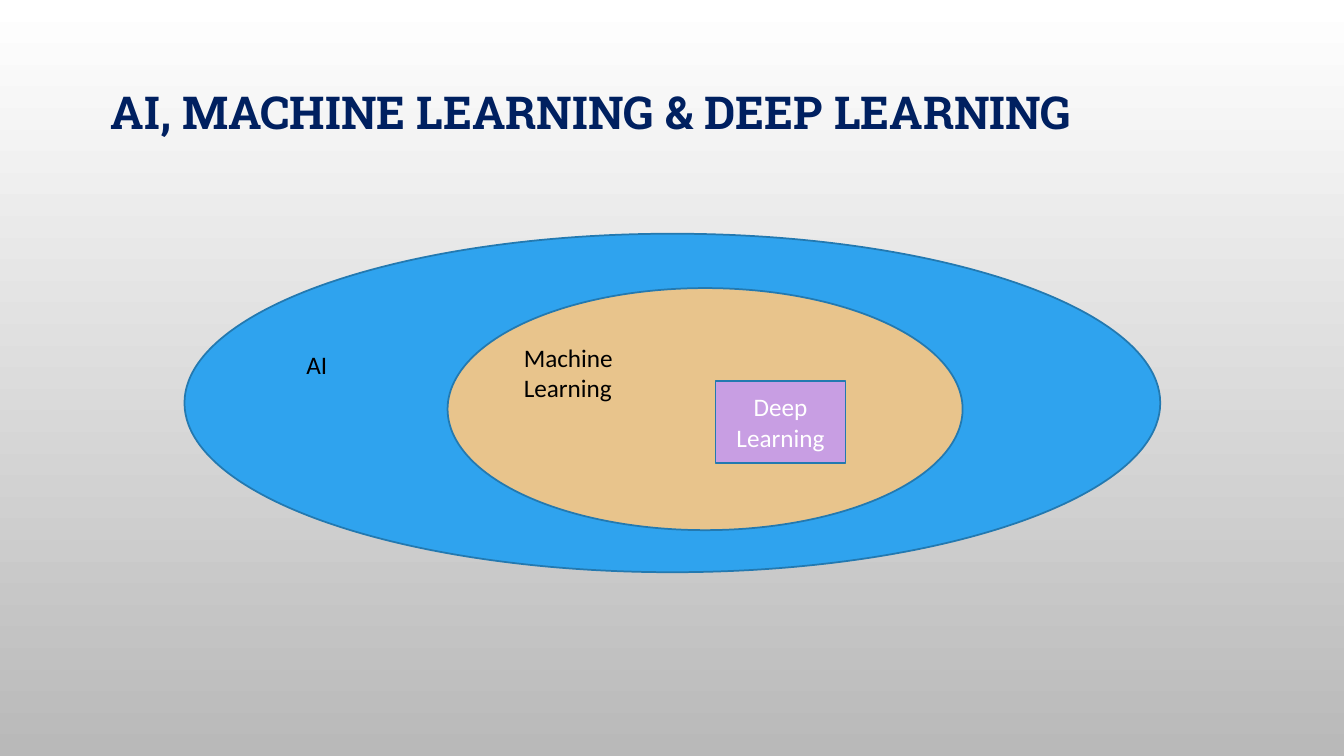
from pptx import Presentation
from pptx.dml.color import RGBColor
from pptx.enum.shapes import MSO_SHAPE
from pptx.enum.text import MSO_ANCHOR, MSO_AUTO_SIZE, PP_ALIGN
from pptx.util import Cm, Pt

LEFT, CENTER = PP_ALIGN.LEFT, PP_ALIGN.CENTER
TOP, MIDDLE = MSO_ANCHOR.TOP, MSO_ANCHOR.MIDDLE
FIXED, GROW = MSO_AUTO_SIZE.NONE, MSO_AUTO_SIZE.SHAPE_TO_FIT_TEXT

NAVY = RGBColor(0x00, 0x20, 0x60)
BLUE = RGBColor(0x2F, 0xA3, 0xEE)
SAND = RGBColor(0xE8, 0xC4, 0x8C)
LILAC = RGBColor(0xC8, 0x9E, 0xE3)
OUTLINE = RGBColor(0x23, 0x79, 0xB0)
BLACK = RGBColor(0x00, 0x00, 0x00)
WHITE = RGBColor(0xFF, 0xFF, 0xFF)
GREY = RGBColor(0xB9, 0xB9, 0xB9)

# Content: boxes are left, top, width, height in centimetres
TITLE = "AI, MACHINE LEARNING & DEEP LEARNING"
TITLE_BOX = (2.54, 1.73, 28.78, 2.34)

# Nested fields, outermost first: preset, fill, box
FIELDS = [
    (MSO_SHAPE.FLOWCHART_CONNECTOR, BLUE, (4.65, 5.89, 24.59, 8.53)),
    (MSO_SHAPE.OVAL, SAND, (11.28, 7.26, 12.98, 6.1)),
    (MSO_SHAPE.RECTANGLE, LILAC, (18.03, 9.6, 3.28, 2.06)),
]
LABELS = [
    ("AI", (7.47, 8.69, 5.05, 1.02)),
    ("Machine Learning", (12.95, 8.5, 5.05, 1.8)),
]
INNERMOST_LABEL = "Deep Learning"


def write_text(shape, text, *, font="Calibri", size=18, color=BLACK, bold=False,
               align=LEFT, anchor=TOP, fit=FIXED, spacing=1.0):
    frame = shape.text_frame
    frame.word_wrap = True
    frame.auto_size = fit
    frame.vertical_anchor = anchor
    paragraph = frame.paragraphs[0]
    paragraph.alignment = align
    paragraph.line_spacing = spacing
    run = paragraph.add_run()
    run.text = text
    run.font.name = font
    run.font.size = Pt(size)
    run.font.bold = bold
    run.font.color.rgb = color


def add_field(slide, preset, fill, box):
    shape = slide.shapes.add_shape(preset, *map(Cm, box))
    shape.shadow.inherit = False
    shape.fill.solid()
    shape.fill.fore_color.rgb = fill
    shape.line.color.rgb = OUTLINE
    shape.line.width = Pt(1.25)
    return shape


presentation = Presentation()
presentation.slide_width = Cm(33.87)
presentation.slide_height = Cm(19.05)
slide = presentation.slides.add_slide(presentation.slide_layouts[5])

# Background, white at the top to grey at the bottom
background = slide.background.fill
background.gradient()
background.gradient_angle = 270
for stop, color in zip(background.gradient_stops, (WHITE, GREY)):
    stop.color.rgb = color

# Title
title = slide.shapes.title
title.left, title.top, title.width, title.height = map(Cm, TITLE_BOX)
write_text(title, TITLE, font="Roboto Slab", size=32.4, color=NAVY, bold=True,
           anchor=MIDDLE, spacing=0.9)

# Nested fields, the innermost carrying its own label
for field in FIELDS:
    shape = add_field(slide, *field)
write_text(shape, INNERMOST_LABEL, color=WHITE, align=CENTER, anchor=MIDDLE)

# Labels of the outer fields
for text, box in LABELS:
    write_text(slide.shapes.add_textbox(*map(Cm, box)), text, fit=GROW)

presentation.save("out.pptx")
